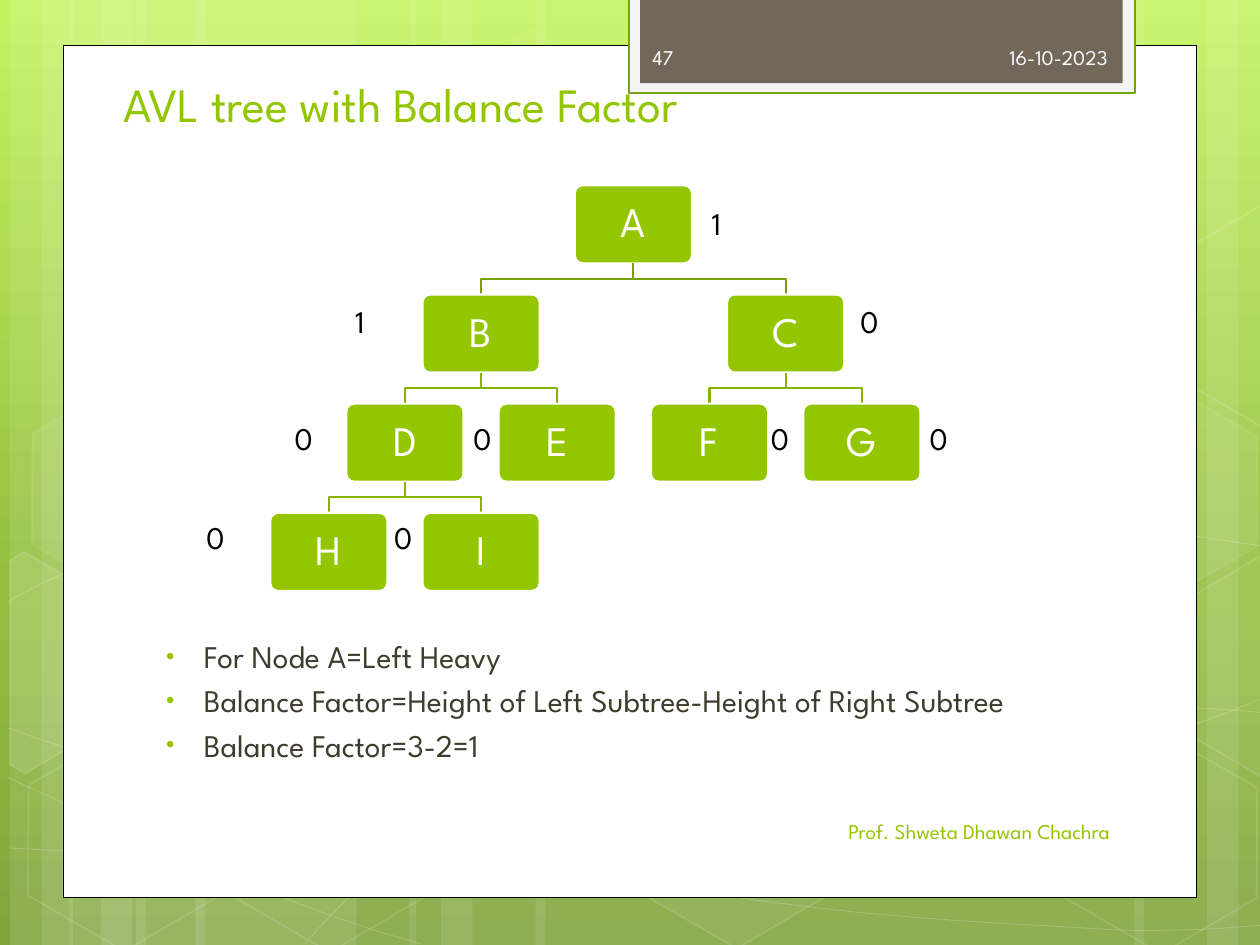
from lxml import etree
from pptx import Presentation
from pptx.dml.color import RGBColor
from pptx.enum.shapes import MSO_SHAPE as SHAPE
from pptx.enum.text import MSO_ANCHOR as ANCHOR, PP_ALIGN as ALIGN
from pptx.oxml.ns import qn
from pptx.util import Inches, Pt

FONT = "League Spartan"
GREEN = RGBColor(0x94, 0xC6, 0x00)
DARK_GREEN = RGBColor(0x77, 0x9F, 0x00)
MID_GREEN = RGBColor(0x86, 0xB4, 0x00)
TAB_EDGE = RGBColor(0x74, 0xA5, 0x10)
TAB_FRAME = RGBColor(0xF5, 0xF5, 0xF5)
TAUPE = RGBColor(0x71, 0x68, 0x5A)
OLIVE = RGBColor(0x3E, 0x3D, 0x2D)
BLACK = RGBColor(0, 0, 0)
WHITE = RGBColor(0xFF, 0xFF, 0xFF)
NEAR_WHITE = RGBColor(0xFE, 0xFE, 0xFE)

BACKDROP = [(0, "C3F35F"), (62, "93BF3F"), (100, "81A53E")]
BULLETS = [
    "For Node A=Left Heavy",
    "Balance Factor=Height of Left Subtree-Height of Right Subtree",
    "Balance Factor=3-2=1",
]
# name: parent, column, row, balance factor, left of the factor label
NODES = {
    "A": (None, 4, 0, "1", 5.55),
    "B": ("A", 2, 1, "1", 2.72),
    "C": ("A", 6, 1, "0", 6.73),
    "D": ("B", 1, 2, "0", 2.24),
    "E": ("B", 3, 2, "0", 3.66),
    "F": ("C", 5, 2, "0", 6.02),
    "G": ("C", 7, 2, "0", 7.28),
    "H": ("D", 0, 3, "0", 1.54),
    "I": ("D", 2, 3, "0", 3.03),
}
LABEL_TOPS = (1.57, 2.35, 3.28, 4.06)
TREE_X, TREE_Y = 2.61, 1.47
COL, ROW = 4.23 / 7, 2.6 / 3
NODE_W, NODE_H = 0.93, 0.62

STRIPES = [  # left, width
    (1.08, 1.75), (0.08, 0.5), (0.33, 0.83), (1.55, 1.75), (0.55, 0.5), (0.8, 0.83),
    (7.33, 1.75), (9.58, 0.5), (9, 0.83), (4.25, 3.08), (3.25, 0.5), (3.5, 0.83),
]
CURVES = [  # start point, then three Bezier points per segment
    [(0.07, 6.73), (0.61, 6.76), (1.15, 6.79), (1.9, 6.78), (2.65, 6.77), (3.58, 6.75),
     (4.58, 6.65), (5.58, 6.55), (7, 6.36), (7.92, 6.17), (8.83, 5.98), (9.77, 5.68),
     (10.07, 5.51)],
    [(0.07, 4.77), (0.36, 4.61), (0.65, 4.46), (1.21, 4.31), (1.78, 4.16), (2.59, 3.94),
     (3.47, 3.87), (4.36, 3.8), (5.44, 3.79), (6.54, 3.87), (7.64, 3.95), (9.47, 4.26),
     (10.07, 4.34)],
    [(0.06, 6.17), (1.27, 6.72), (2.47, 7.27), (3.34, 7.49)],
    [(0.07, 5.78), (0.38, 5.89), (0.7, 6), (1.28, 6.16), (1.86, 6.31), (2.73, 6.56),
     (3.57, 6.73), (4.4, 6.9), (5.45, 7.08), (6.28, 7.18), (7.11, 7.29), (8, 7.33),
     (8.53, 7.36), (9.05, 7.4), (9.19, 7.38), (9.45, 7.38), (9.71, 7.37), (9.89, 7.35),
     (10.07, 7.34)],
    [(2.42, 7.49), (2.6, 7.29), (2.78, 7.09), (3.02, 6.91), (3.26, 6.73), (3.6, 6.53),
     (3.88, 6.39), (4.16, 6.25), (4.33, 6.19), (4.7, 6.09), (5.06, 5.99), (5.73, 5.85),
     (6.08, 5.78), (6.44, 5.71), (6.49, 5.71), (6.8, 5.69), (7.11, 5.66), (7.6, 5.63),
     (7.94, 5.62), (8.29, 5.61), (8.86, 5.62), (8.86, 5.62), (9.08, 5.62), (9.31, 5.62),
     (9.53, 5.62), (9.71, 5.63), (9.88, 5.64), (10.06, 5.66)],
]
HEXAGONS = [  # left, top, fill opacity, line opacity
    (3.34, 0.36, 4, 8), (4.97, 5.89, 6, 12), (0.11, 5.91, None, 12), (0.14, 3.12, 7, 8),
    (1.74, 5.92, None, 12), (7.53, 4.53, 10, 12), (8.34, 5.93, None, 12), (8.34, 3.14, 7, 8),
]
CUT_HEXAGONS = [  # outline, fill opacity
    ([(0.08, 4.45), (0.19, 4.38), (0.96, 4.82), (0.95, 5.7), (0.2, 6.14), (0.08, 6.07)], 10),
    ([(9.26, 4.85), (10.01, 4.41), (10.09, 4.46), (10.09, 6.13), (10.02, 6.17), (9.26, 5.73)], 4),
    ([(9.26, 2.07), (10.01, 1.63), (10.1, 1.68), (10.09, 3.35), (10.02, 3.39), (9.26, 2.95)], None),
]


def paint(s, fill=None, line=None, width=1, fill_alpha=None, line_alpha=None):
    s.shadow.inherit = False
    spPr = s._element.spPr
    for target, color, alpha, place in ((s.fill, fill, fill_alpha, "a:solidFill"),
                                        (s.line.fill, line, line_alpha, "a:ln/a:solidFill")):
        if color is None:
            target.background()
            continue
        target.solid()
        target.fore_color.rgb = color
        if alpha:
            rgb = spPr.find("/".join(qn(tag) for tag in f"{place}/a:srgbClr".split("/")))
            etree.SubElement(rgb, qn("a:alpha"), val=str(alpha * 1000))
    if line is not None:
        s.line.width = Pt(width)
    return s


def add_box(shape, x, y, w, h, **look):
    s = slide.shapes.add_shape(shape, Inches(x), Inches(y), Inches(w), Inches(h))
    return paint(s, **look)


def add_path(points, closed=False, **look):
    start, *rest = [(Inches(x), Inches(y)) for x, y in points]
    fb = slide.shapes.build_freeform(*start)
    fb.add_line_segments(rest, close=closed)
    return paint(fb.convert_to_shape(), **look)


def bezier_points(nodes, steps=8):
    """Flatten a chain of cubic Bezier segments."""
    points = [nodes[0]]
    for i in range(0, len(nodes) - 1, 3):
        for t in (n / steps for n in range(1, steps + 1)):
            weights = ((1 - t) ** 3, 3 * t * (1 - t) ** 2, 3 * t * t * (1 - t), t ** 3)
            points.append(tuple(sum(w * p[k] for w, p in zip(weights, nodes[i:i + 4]))
                                for k in (0, 1)))
    return points


def write(p, text, size, color, align=ALIGN.LEFT):
    p.alignment = align
    r = p.add_run()
    r.text = text
    for name, value in {"name": FONT, "size": Pt(size)}.items():
        setattr(r.font, name, value)
    r.font.color.rgb = color


def add_frame(x, y, w, h):
    tf = slide.shapes.add_textbox(Inches(x), Inches(y), Inches(w), Inches(h)).text_frame
    tf.word_wrap = True
    return tf


def add_text(text, x, y, w, h, size, color, anchor=ANCHOR.TOP, align=ALIGN.LEFT):
    tf = add_frame(x, y, w, h)
    tf.vertical_anchor = anchor
    write(tf.paragraphs[0], text, size, color, align)


def add_bullets(items, x, y, w, h):
    tf = add_frame(x, y, w, h)
    for i, item in enumerate(items):
        p = tf.add_paragraph() if i else tf.paragraphs[0]
        if i:
            p.space_before = Pt(3.6)
        pPr = p._p.get_or_add_pPr()
        pPr.set("marL", str(Inches(0.38)))
        pPr.set("indent", str(Inches(-0.3)))
        color = etree.SubElement(pPr, qn("a:buClr"))
        etree.SubElement(color, qn("a:srgbClr"), val=str(GREEN))
        etree.SubElement(pPr, qn("a:buSzPct"), val="76000")
        etree.SubElement(pPr, qn("a:buFont"), typeface="Arial")
        etree.SubElement(pPr, qn("a:buChar"), char="•")
        write(p, item, 18, OLIVE)


def add_backdrop():
    slide.background.fill.gradient()
    grad = slide._element.find(".//" + qn("a:gradFill"))
    stops = grad.find(qn("a:gsLst"))
    for gs in list(stops):
        stops.remove(gs)
    for position, color in BACKDROP:
        gs = etree.SubElement(stops, qn("a:gs"), pos=str(position * 1000))
        etree.SubElement(gs, qn("a:srgbClr"), val=color)
    grad.find(qn("a:lin")).set("ang", "5400000")
    for x, w in STRIPES:
        add_box(SHAPE.RECTANGLE, x, 0, w, 7.5, fill=WHITE, fill_alpha=10)
    for curve in CURVES:
        add_path(bezier_points(curve), line=WHITE, width=0.5, line_alpha=20)
    for x, y, fill_alpha, line_alpha in HEXAGONS:
        s = add_box(SHAPE.HEXAGON, x, y, 1.75, 1.52, fill=WHITE if fill_alpha else None,
                    fill_alpha=fill_alpha, line=WHITE, line_alpha=line_alpha)
        s.adjustments[0] = 0.285
        s.rotation = 30
    for outline, alpha in CUT_HEXAGONS:
        add_path(outline, closed=True, fill=WHITE if alpha else None, fill_alpha=alpha,
                 line=WHITE, line_alpha=12)


def add_tree():
    for name, (parent, col, row, factor, label_x) in NODES.items():
        x, y = TREE_X + col * COL, TREE_Y + row * ROW
        if parent:
            parent_x = TREE_X + NODES[parent][1] * COL
            parent_y = y - ROW + NODE_H
            bend = (parent_y + y) / 2
            add_path([(parent_x, parent_y), (parent_x, bend), (x, bend), (x, y)],
                     line=DARK_GREEN if row == 1 else MID_GREEN, width=1.25)
        s = add_box(SHAPE.ROUNDED_RECTANGLE, x - NODE_W / 2, y, NODE_W, NODE_H,
                    fill=GREEN, line=WHITE, width=1.25)
        s.adjustments[0] = 0.1
        tf = s.text_frame
        tf.vertical_anchor = ANCHOR.MIDDLE
        tf.paragraphs[0].line_spacing = 0.9
        write(tf.paragraphs[0], name, 24, WHITE, ALIGN.CENTER)
        add_text(factor, label_x, LABEL_TOPS[row], 0.47, 0.4, 18, BLACK)


prs = Presentation()
prs.slide_width, prs.slide_height = Inches(10), Inches(7.5)
slide = prs.slides.add_slide(prs.slide_layouts[6])

add_backdrop()
add_box(SHAPE.RECTANGLE, 0.5, 0.36, 9, 6.76, fill=WHITE, line=BLACK, width=0.5)
add_box(SHAPE.RECTANGLE, 4.99, -0.02, 4.02, 0.76, fill=TAB_FRAME, line=TAB_EDGE, width=1.25)
add_box(SHAPE.RECTANGLE, 5.08, -0.02, 3.83, 0.68, fill=TAUPE)
add_bullets(BULLETS, 1.14, 5.01, 7.41, 1.37)
add_text("AVL tree with Balance Factor", 0.88, 0.52, 7.68, 0.58, 27.3, GREEN, ANCHOR.BOTTOM)
add_tree()
add_text("16-10-2023", 6.56, 0.25, 2.33, 0.4, 12, NEAR_WHITE, ANCHOR.MIDDLE, ALIGN.RIGHT)
add_text("Prof. Shweta Dhawan Chachra", 5.08, 6.4, 3.83, 0.4, 12, GREEN, ANCHOR.MIDDLE, ALIGN.RIGHT)
add_text("47", 5.08, 0.25, 1.46, 0.4, 12, NEAR_WHITE, ANCHOR.MIDDLE)

prs.save("out.pptx")
